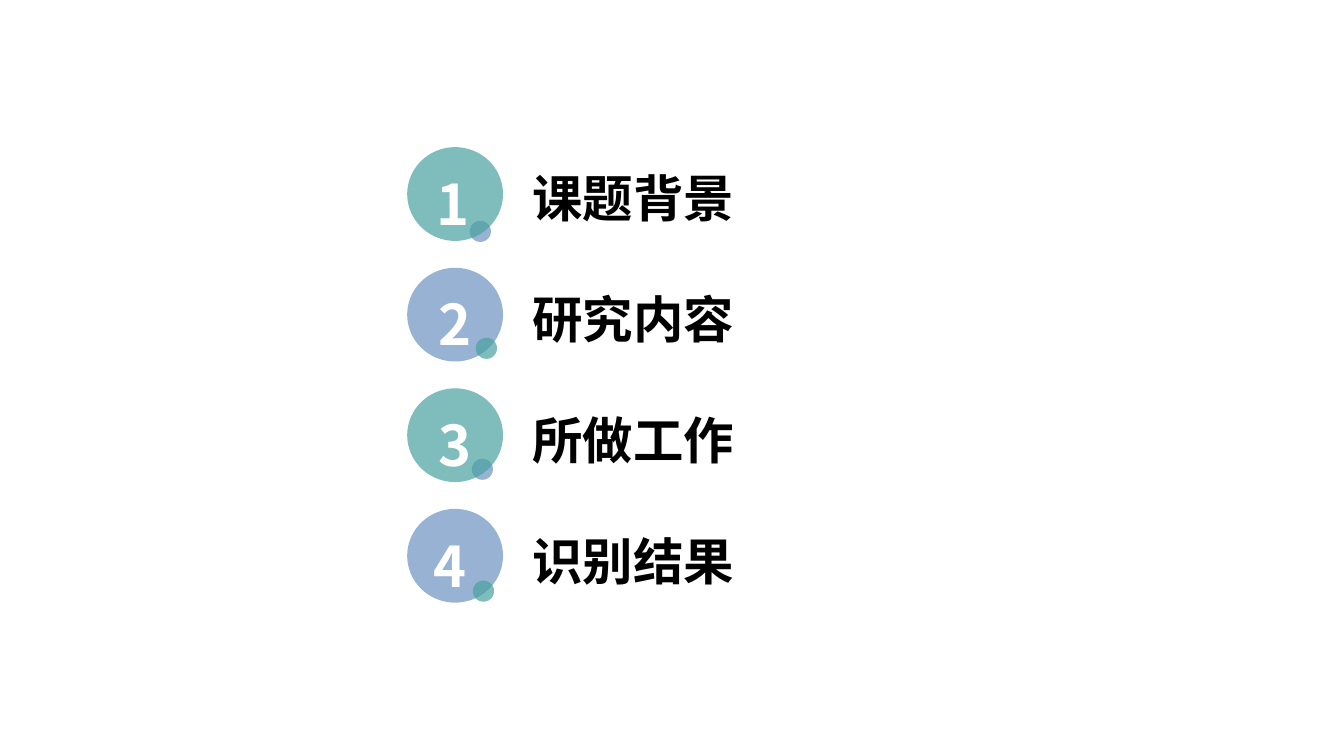
"""Build a contents slide with four numbered topics."""
from dataclasses import dataclass

from lxml import etree
from pptx import Presentation, util as u
from pptx.dml.color import RGBColor
from pptx.enum import shapes, text
from pptx.oxml.ns import qn


@dataclass(frozen=True)
class Theme:
    font: str = "Noto Sans CJK SC"
    teal: str = "48A2A0"
    blue: str = "6C92C0"
    white: str = "FFFFFF"
    black: str = "000000"
    opacity: int = 70
    number_size: int = 40
    topic_size: int = 36
    line_height: float = 1.2


@dataclass(frozen=True)
class Area:
    left: float
    top: float
    width: float
    height: float


@dataclass(frozen=True)
class Topic:
    title: str
    number_center: float
    dot_left: float
    dot_top: float


THEME = Theme()
WIDTH, HEIGHT = u.Inches(13.33), u.Inches(7.5)
TOPICS = [
    Topic("课题背景", 33.68, 34.95, 29.2),
    Topic("研究内容", 33.86, 35.4, 44.67),
    Topic("所做工作", 33.86, 35.1, 60.67),
    Topic("识别结果", 33.49, 35.18, 76.8),
]
FIRST_CIRCLE = Area(30.3, 19.47, 7.13, 12.4)
TOPIC_LIST = Area(38.85, 20.8, 32.55, 57.87)
NUMBER_TOP, NUMBER_WIDTH, NUMBER_HEIGHT = 21.07, 8.63, 10.27
DOT_WIDTH, DOT_HEIGHT = 1.58, 2.8
ROW_PITCH = 15.95


def place(area: Area) -> tuple[int, int, int, int]:
    """Turn percentages of the slide into lengths."""
    return (int(WIDTH * area.left / 100), int(HEIGHT * area.top / 100),
            int(WIDTH * area.width / 100), int(HEIGHT * area.height / 100))


def add_disc(page, area: Area, color: str) -> None:
    """Draw a translucent ellipse."""
    disc = page.shapes.add_shape(shapes.MSO_SHAPE.OVAL, *place(area))
    disc.shadow.inherit = False
    disc.line.fill.background()
    disc.fill.solid()
    disc.fill.fore_color.rgb = RGBColor.from_string(color)
    tint = disc.fill._xPr.find(".//" + qn("a:srgbClr"))
    etree.SubElement(tint, qn("a:alpha"), val=str(THEME.opacity * 1000))


def prepare_frame(frame) -> None:
    """Give a text frame fixed insets and wrapping."""
    frame.word_wrap = True
    frame.auto_size = text.MSO_AUTO_SIZE.NONE
    frame.vertical_anchor = text.MSO_ANCHOR.TOP
    frame.margin_top = u.Inches(0.1)
    frame.margin_bottom = 0


def style_paragraph(para, size: int, color: str) -> None:
    """Set spacing and bold type on a paragraph."""
    para.line_spacing = u.Pt(size * THEME.line_height)
    para.space_before = u.Pt(0)
    para.font.size = u.Pt(size)
    para.font.bold = True
    para.font.name = THEME.font
    para.font.color.rgb = RGBColor.from_string(color)
    etree.SubElement(para.font._rPr, qn("a:ea"), typeface=THEME.font)


def add_number(page, number: int, area: Area) -> None:
    """Write a topic number."""
    box = page.shapes.add_textbox(*place(area))
    prepare_frame(box.text_frame)
    para = box.text_frame.paragraphs[0]
    para.text = str(number)
    para.alignment = text.PP_ALIGN.CENTER
    style_paragraph(para, THEME.number_size, THEME.white)


def fill_topics(body) -> None:
    """Place the topic list without bullets, one blank line height apart."""
    body.left, body.top, body.width, body.height = place(TOPIC_LIST)
    frame = body.text_frame
    prepare_frame(frame)
    frame.text = "\n".join(topic.title for topic in TOPICS)
    for para in frame.paragraphs:
        para.alignment = text.PP_ALIGN.LEFT
        para.space_after = u.Pt(THEME.topic_size * THEME.line_height)
        style_paragraph(para, THEME.topic_size, THEME.black)
        properties = para._p.get_or_add_pPr()
        properties.set("marL", "0")
        properties.set("indent", "0")
        properties.find(qn("a:defRPr")).addprevious(
            etree.Element(qn("a:buNone")))


def add_marker(page, row: int, topic: Topic) -> None:
    """Draw the circle, dot and number of one row."""
    shift = row * ROW_PITCH
    circle = Area(FIRST_CIRCLE.left, FIRST_CIRCLE.top + shift,
                  FIRST_CIRCLE.width, FIRST_CIRCLE.height)
    dot = Area(topic.dot_left, topic.dot_top, DOT_WIDTH, DOT_HEIGHT)
    discs = [(dot, THEME.blue), (circle, THEME.teal)]
    if row % 2:
        discs = [(circle, THEME.blue), (dot, THEME.teal)]
    for area, color in discs:
        add_disc(page, area, color)
    add_number(page, row + 1, Area(topic.number_center - NUMBER_WIDTH / 2,
                                   NUMBER_TOP + shift,
                                   NUMBER_WIDTH, NUMBER_HEIGHT))


def main() -> None:
    """Build and save the deck."""
    deck = Presentation()
    deck.slide_width, deck.slide_height = WIDTH, HEIGHT
    page = deck.slides.add_slide(deck.slide_layouts[1])
    title = page.shapes.title
    title.element.getparent().remove(title.element)
    fill_topics(page.placeholders[1])
    for row, topic in enumerate(TOPICS):
        add_marker(page, row, topic)
    deck.save("out.pptx")


if __name__ == "__main__":
    main()
